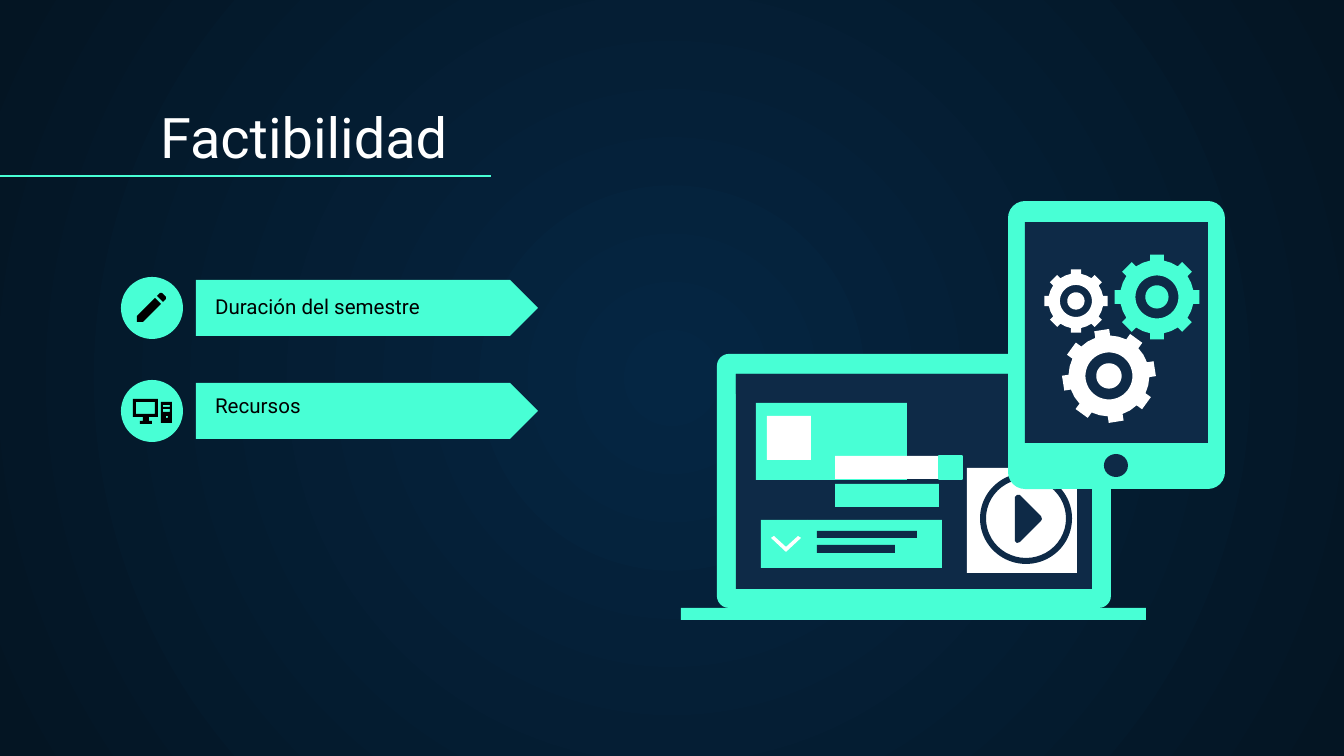
from math import asin, cos, pi, radians, sin

from lxml.etree import SubElement
from pptx import Presentation
from pptx.dml.color import RGBColor
from pptx.enum.shapes import MSO_CONNECTOR, MSO_SHAPE as Shape
from pptx.enum.text import MSO_ANCHOR, MSO_AUTO_SIZE, PP_ALIGN
from pptx.oxml.ns import qn
from pptx.util import Pt

PX = 914400 / 134.4
MINT, NAVY, WHITE, BLACK = "48FFD5", "0E2A47", "FFFFFF", "000000"
FONT = "Roboto"


def px(value):
    return round(value * PX)


def color(hex_text):
    return RGBColor.from_string(hex_text)


def paint(shape, fill, line=None):
    shape.shadow.inherit = False
    shape.fill.solid()
    shape.fill.fore_color.rgb = color(fill)
    if line:
        shape.line.color.rgb = color(line)
        shape.line.width = Pt(0.75)
    else:
        shape.line.fill.background()


def add_part(page, origin, kind, box, fill, line=None, adjust=None):
    """Add a preset shape whose box is relative to origin."""
    left, top, width, height = box
    shape = page.shapes.add_shape(
        kind, px(origin[0] + left), px(origin[1] + top), px(width), px(height))
    if adjust is not None:
        shape.adjustments[0] = adjust
    paint(shape, fill, line)


def add_outline(page, origin, contours, fill):
    """Add one freeform; contours inside another one become holes."""
    builder = None
    for contour in contours:
        points = [(px(origin[0] + x), px(origin[1] + y)) for x, y in contour]
        if builder is None:
            builder = page.shapes.build_freeform(*points[0], scale=1.0)
        else:
            builder.move_to(*points[0])
        builder.add_line_segments(points[1:], close=True)
    paint(builder.convert_to_shape(), fill)


def rectangle(left, top, right, bottom):
    return [(left, top), (right, top), (right, bottom), (left, bottom)]


def polar(center, radius, angle):
    return center[0] + radius * cos(angle), center[1] + radius * sin(angle)


def add_gear(page, origin, center, radius, fill, turn=0):
    teeth, body, half_tooth = 8, 0.86 * radius, 0.16 * radius
    outer_half, inner_half = asin(half_tooth / radius), asin(half_tooth / body)
    step = 2 * pi / teeth
    rim = []
    for tooth in range(teeth):
        middle = tooth * step + radians(turn)
        corners = [(body, -inner_half), (radius, -outer_half),
                   (radius, outer_half), (body, inner_half), (body, step / 2)]
        rim += [polar(center, reach, middle + angle) for reach, angle in corners]
    circles = [[polar(center, share * radius, 2 * pi * i / 48) for i in range(48)]
               for share in (0.5, 0.27)]
    add_outline(page, origin, [rim, *circles], fill)


def set_text(holder, text, box, size, fill):
    holder.left, holder.top, holder.width, holder.height = map(px, box)
    frame = holder.text_frame
    frame.text = text
    frame.word_wrap = True
    frame.auto_size = MSO_AUTO_SIZE.NONE
    frame.vertical_anchor = MSO_ANCHOR.BOTTOM
    frame.margin_left = frame.margin_right = px(13)
    frame.margin_top = frame.margin_bottom = px(13)
    para = frame.paragraphs[0]
    para.alignment = PP_ALIGN.LEFT
    para.space_before = Pt(0)
    para.font.name, para.font.size, para.font.bold = FONT, Pt(size), False
    para.font.color.rgb = color(fill)


def set_background(page):
    fill = page.background.fill
    fill.gradient()
    for stop, shade in zip(fill.gradient_stops, ("052643", "041523")):
        stop.color.rgb = color(shade)
    gradient = page._element.find(".//" + qn("a:gradFill"))
    gradient.remove(gradient.find(qn("a:lin")))
    circle = SubElement(gradient, qn("a:path"), path="circle")
    SubElement(circle, qn("a:fillToRect"),
               {side: "50000" for side in "ltrb"})


def add_heading(page, text):
    set_text(page.shapes.title, text, (147, 94, 1152, 89), 30, WHITE)
    rule = page.shapes.add_connector(
        MSO_CONNECTOR.STRAIGHT, 0, px(176), px(491), px(176))
    rule.line.color.rgb = color(MINT)
    rule.line.width = Pt(0.75)
    SubElement(rule._element.spPr, qn("a:effectLst"))


def add_pencil(page, origin):
    body = [(34, 21), (16, 39), (16, 45), (22, 45), (40, 27)]
    eraser = [(36, 19), (39, 16), (41, 16), (45, 20), (45, 22), (42, 25)]
    add_outline(page, origin, [body, eraser], BLACK)


def add_computer(page, origin):
    monitor = [(12, 19), (37, 19), (37, 37), (28, 37), (28, 41), (31, 41),
               (31, 44), (19, 44), (19, 41), (22, 41), (22, 37), (12, 37)]
    add_outline(page, origin, [monitor, rectangle(15, 22, 34, 34)], BLACK)
    tower = [(40, 22, 51, 43), (42, 25, 49, 27), (42, 29, 49, 32), (45, 36, 47, 38)]
    add_outline(page, origin, [rectangle(*edges) for edges in tower], BLACK)


def add_item(page, origin, holder, text, text_top, add_icon):
    add_part(page, origin, Shape.PENTAGON, (75, 3, 342, 56), MINT)
    add_part(page, origin, Shape.OVAL, (0, 0, 62, 62), MINT)
    add_icon(page, origin)
    set_text(holder, text, (origin[0] + 81, origin[1] + text_top, 305, 28), 11, BLACK)
    page.shapes._spTree.append(holder._element)  # in front of the arrow


def add_laptop(page, origin):
    add_part(page, origin, Shape.ROUNDED_RECTANGLE, (36, 0, 394, 254), MINT,
             adjust=12 / 254)
    blocks = [
        ((55, 20, 356, 215), NAVY),    # screen
        ((0, 254, 465, 12), MINT),     # base
        ((55, 20, 356, 20), NAVY),     # top bar
        ((75, 49, 151, 77), MINT),     # card
        ((86, 62, 44, 44), WHITE),
        ((127, 166, 134, 48), MINT),   # list entry
        ((136, 177, 100, 7), NAVY),
        ((136, 191, 78, 8), NAVY),
        ((80, 166, 47, 48), MINT),
        ((154, 130, 104, 23), MINT),   # search fields
        ((154, 102, 104, 23), WHITE),
        ((286, 114, 110, 105), WHITE),  # video
    ]
    for box, fill in blocks:
        add_part(page, origin, Shape.RECTANGLE, box, fill)
    add_part(page, origin, Shape.RECTANGLE, (258, 102, 23, 23), MINT, line=MINT)
    chevron = [(90, 184), (93, 182), (105, 193), (117, 182), (120, 184), (105, 198)]
    add_outline(page, origin, [chevron], WHITE)
    add_part(page, origin, Shape.DONUT, (299, 119, 92, 91), NAVY, adjust=6 / 91)
    play = [(334, 143), (336, 141), (339, 141), (360, 162), (361, 165),
            (360, 167), (339, 188), (336, 189), (334, 187)]
    add_outline(page, origin, [play], NAVY)


def add_tablet(page, origin):
    add_part(page, origin, Shape.ROUNDED_RECTANGLE, (0, 0, 217, 288), MINT,
             adjust=17 / 217)
    add_part(page, origin, Shape.RECTANGLE, (17, 21, 183, 221), NAVY)
    add_part(page, origin, Shape.OVAL, (96, 253, 24, 23), NAVY)
    add_gear(page, origin, (149, 96), 43, MINT)
    add_gear(page, origin, (68, 100), 32, WHITE)
    add_gear(page, origin, (101, 175), 47, WHITE, turn=-9)


def main():
    deck = Presentation()
    deck.slide_width, deck.slide_height = px(1344), px(756)
    page = deck.slides.add_slide(deck.slide_layouts.get_by_name("Comparison"))
    holders = {holder.placeholder_format.idx: holder for holder in page.placeholders}
    for unused in (2, 4):
        holders[unused]._element.getparent().remove(holders[unused]._element)
    set_background(page)
    add_heading(page, "Factibilidad")
    add_item(page, (121, 277), holders[1], "Duración del semestre", 27, add_pencil)
    add_item(page, (121, 380), holders[3], "Recursos", 23, add_computer)
    add_laptop(page, (681, 354))
    add_tablet(page, (1008, 201))
    deck.save("out.pptx")


if __name__ == "__main__":
    main()
